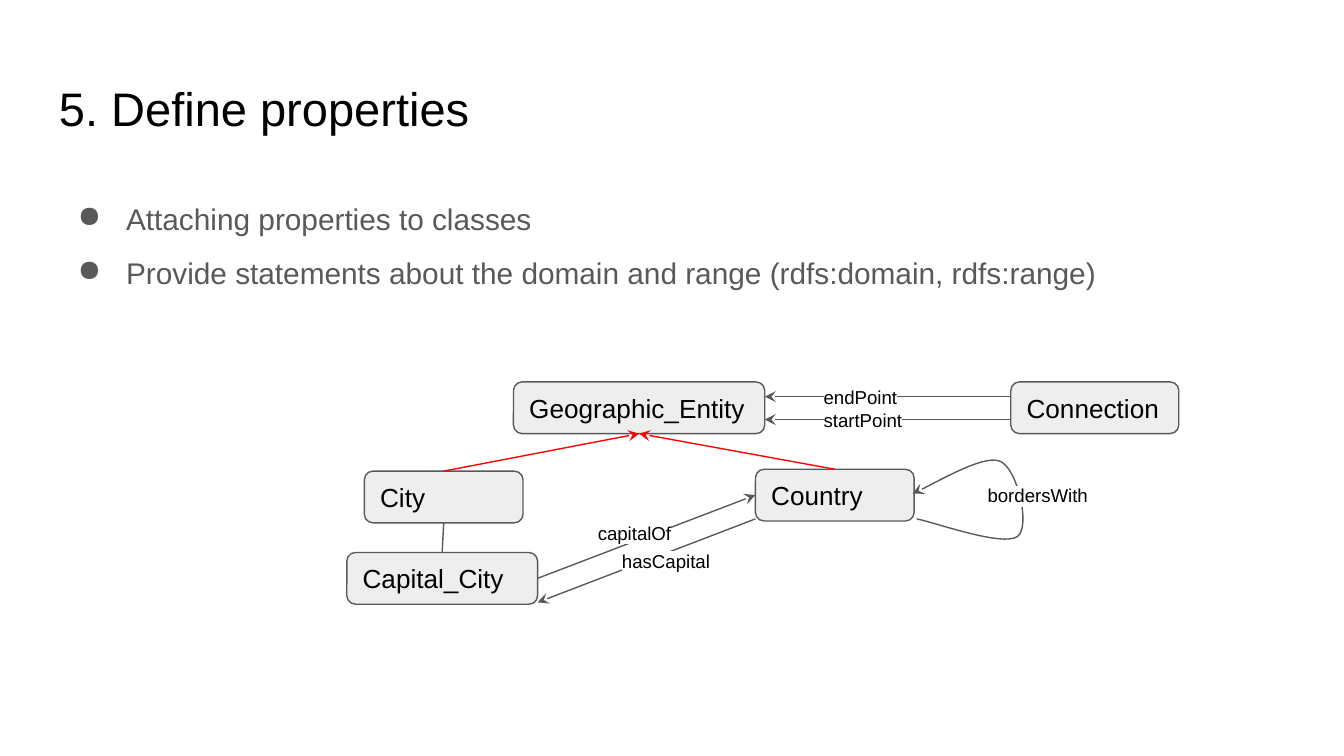
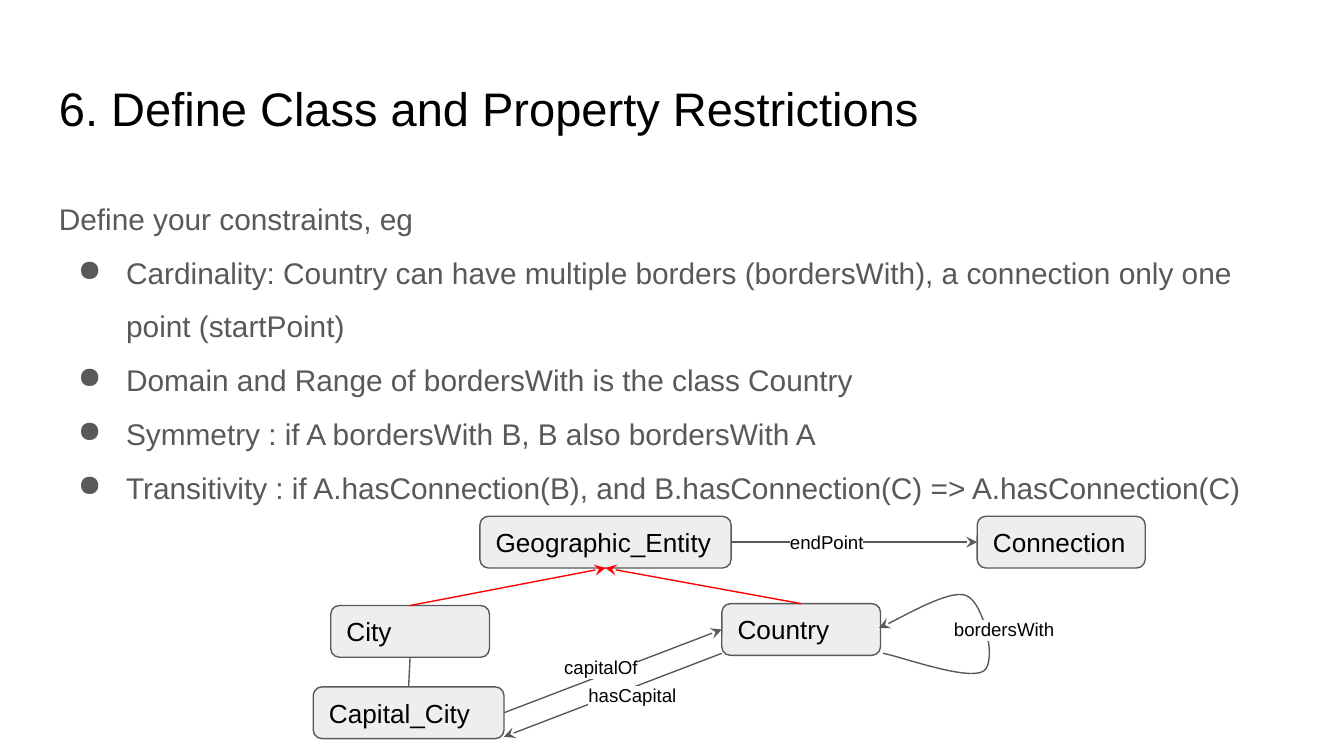
import pptx
import pptx.util
import pptx.dml.color
import pptx.enum.shapes
import pptx.enum.text
import pptx.oxml.ns
from lxml import etree

Pt = pptx.util.Pt
FONT = "Arial"
BLACK, GREY, PALE, RED, WHITE = "000000", "595959", "EEEEEE", "FF0000", "FFFFFF"
HIGH = 27.7
WIDE = 85
LOOP = [(305.3, 73.4), (313.9, 74.9), (351.4, 88.6), (359.3, 82.8),
        (366.5, 77.8), (359.3, 46.1), (349.9, 42.5),
        (340.6, 38.2), (311, 56.9), (303.1, 59.8)]


def paint(text):
    return pptx.dml.color.RGBColor.from_string(text)


def child(node, tag, **keys):
    return etree.SubElement(node, pptx.oxml.ns.qn(tag), keys)


def style(para, size, color):
    para.font.name = FONT
    para.font.size = Pt(size)
    para.font.color.rgb = paint(color)


def inset(frame):
    frame.word_wrap = True
    frame.margin_left = frame.margin_right = Pt(7.2)
    frame.margin_top = frame.margin_bottom = Pt(7.2)


def stroke(item, color=GREY, arrow=False):
    item.line.color.rgb = paint(color)
    item.line.width = Pt(0.75)
    if arrow:
        child(item.line._get_or_add_ln(), "a:tailEnd", type="stealth")


def text_box(slide, box):
    frame = slide.shapes.add_textbox(*map(Pt, box)).text_frame
    inset(frame)
    return frame


def title(slide, text):
    para = text_box(slide, (24.5, 35.3, 671, 45.4)).paragraphs[0]
    para.text = text
    style(para, 25.2, BLACK)


def body(slide, box, items, lead=None):
    frame = text_box(slide, box)
    lines = ([lead] if lead else []) + items
    for spot, text in enumerate(lines):
        para = frame.add_paragraph() if spot else frame.paragraphs[0]
        para.text = text
        para.line_spacing = 1.5
        if text != lead:
            props = para._p.get_or_add_pPr()
            props.set("marL", str(Pt(36)))
            props.set("indent", str(Pt(-25.9)))
            child(child(props, "a:buClr"), "a:srgbClr", val=GREY)
            child(props, "a:buChar", char="●")
        style(para, 16, GREY)


def block(slide, left, top, width, text, size):
    kind = pptx.enum.shapes.MSO_SHAPE.ROUNDED_RECTANGLE
    item = slide.shapes.add_shape(kind, *map(Pt, (left, top, width, HIGH)))
    item.shadow.inherit = False
    frame = item.text_frame
    inset(frame)
    frame.vertical_anchor = pptx.enum.text.MSO_ANCHOR.MIDDLE
    para = frame.paragraphs[0]
    para.text = text
    para.alignment = pptx.enum.text.PP_ALIGN.LEFT
    style(para, size, BLACK)
    return item


def node(slide, left, top, width, text):
    item = block(slide, left, top, width, text, 14)
    item.fill.solid()
    item.fill.fore_color.rgb = paint(PALE)
    stroke(item)
    return item


def label(slide, left, top, text):
    item = block(slide, left, top, WIDE, text, 10)
    item.fill.background()
    item.line.fill.background()
    props = item.text_frame.paragraphs[0].runs[0]._r.get_or_add_rPr()
    child(child(props, "a:highlight"), "a:srgbClr", val=WHITE)


def link(slide, start=(0, 0), end=(0, 0), color=GREY, arrow=True):
    kind = pptx.enum.shapes.MSO_CONNECTOR.STRAIGHT
    item = slide.shapes.add_connector(kind, *map(Pt, (*start, *end)))
    stroke(item, color, arrow)
    child(item._element.spPr, "a:effectLst")
    return item


def join(slide, first, side, last, port, color=GREY, arrow=True):
    item = link(slide, color=color, arrow=arrow)
    item.begin_connect(first, side)
    item.end_connect(last, port)


def curve(points, steps=16):
    spots = [points[0]]
    for base in range(0, len(points) - 1, 3):
        part = points[base:base + 4]
        for step in range(1, steps + 1):
            t = step / steps
            u = 1 - t
            rates = (u ** 3, 3 * u * u * t, 3 * u * t * t, t ** 3)
            spots.append(tuple(sum(r * p[axis] for r, p in zip(rates, part))
                               for axis in (0, 1)))
    return spots


def loop(slide, left, top):
    spots = [(Pt(left + x), Pt(top + y)) for x, y in curve(LOOP)]
    pen = slide.shapes.build_freeform(*spots[0], scale=1.0)
    pen.add_line_segments(spots[1:], close=False)
    item = pen.convert_to_shape()
    item.shadow.inherit = False
    item.fill.background()
    stroke(item, arrow=True)


def graph(slide, left, top, ends):
    def at(x, y):
        return left + x, top + y

    place = node(slide, *at(89.3, 0), 134.6, "Geographic_Entity")
    route = node(slide, *at(355.7, 0), 90, "Connection")
    seat = node(slide, *at(0, 91.4), 102.2, "Capital_City")
    land = node(slide, *at(218.9, 46.8), WIDE, "Country")
    city = node(slide, *at(9.4, 47.8), WIDE, "City")
    join(slide, seat, 3, land, 1)
    join(slide, seat, 0, city, 2, arrow=False)
    for kid in (land, city):
        join(slide, kid, 0, place, 2, RED)
    link(slide, at(218.9, 73.4), at(102.2, 118.1))
    label(slide, *at(139, 82.1), "hasCapital")
    label(slide, *at(126, 67), "capitalOf")
    loop(slide, left, top)
    label(slide, *at(334.8, 46.8), "bordersWith")
    if ends:
        for text, mid in ends:
            link(slide, at(355.7, mid), at(223.9, mid))
            label(slide, *at(247, mid - HIGH / 2), text)
    else:
        join(slide, place, 3, route, 1)
        label(slide, *at(247, 0), "endPoint")


def main():
    deck = pptx.Presentation()
    deck.slide_width, deck.slide_height = Pt(720), Pt(405)
    blank = deck.slide_layouts[6]

    slide = deck.slides.add_slide(blank)
    title(slide, "5. Define properties")
    body(slide, (24.5, 90.7, 664.6, 68.4), [
        "Attaching properties to classes",
        "Provide statements about the domain and range (rdfs:domain, rdfs:range)"])
    graph(slide, 185.8, 204.6, [("endPoint", 7.9), ("startPoint", 20.2)])

    slide = deck.slides.add_slide(blank)
    title(slide, "6. Define Class and Property Restrictions")
    body(slide, (24.5, 90.7, 658.8, 214.6), [
        "Cardinality: Country can have multiple borders (bordersWith), "
        "a connection only one point (startPoint)",
        "Domain and Range of bordersWith is the class Country",
        "Symmetry : if A bordersWith B, B also bordersWith A",
        "Transitivity : if A.hasConnection(B), and B.hasConnection(C) "
        "=> A.hasConnection(C)"], "Define your constraints, eg")
    graph(slide, 167.8, 276.6, [])
    deck.save("out.pptx")


if __name__ == "__main__":
    main()
